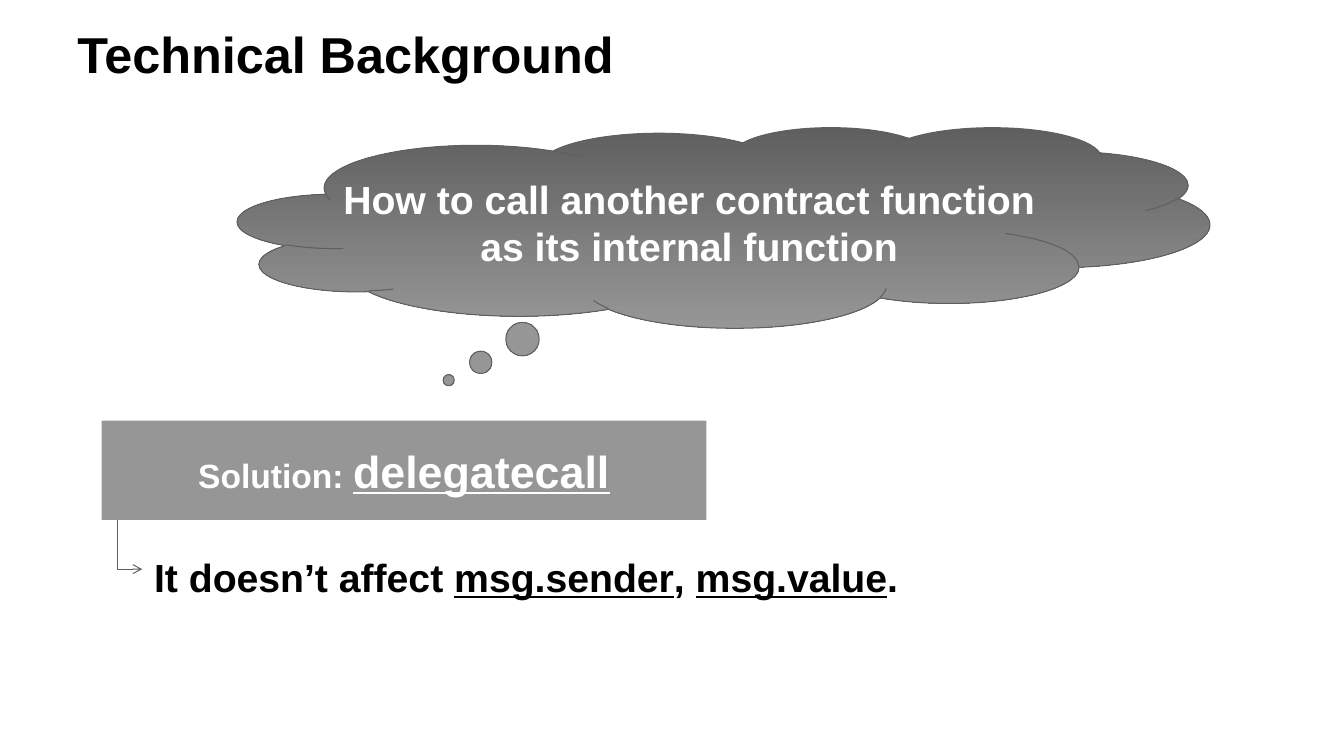
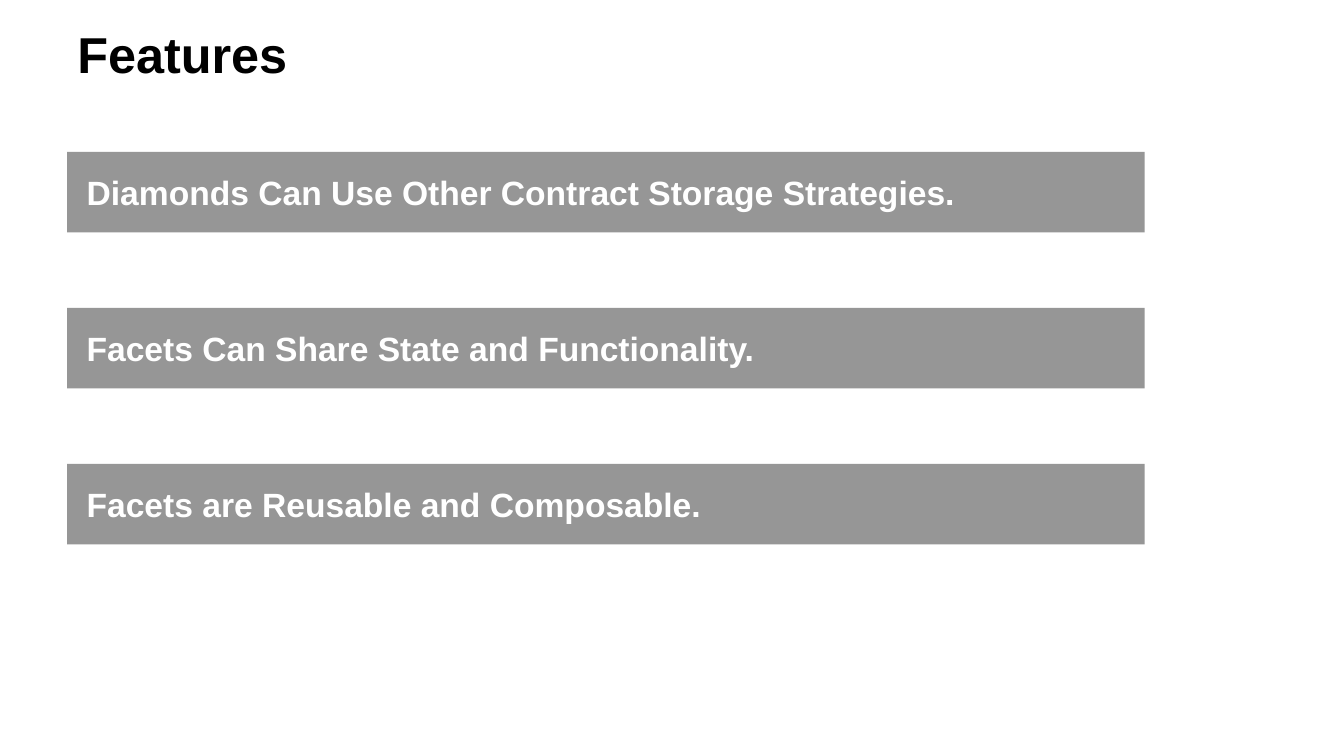
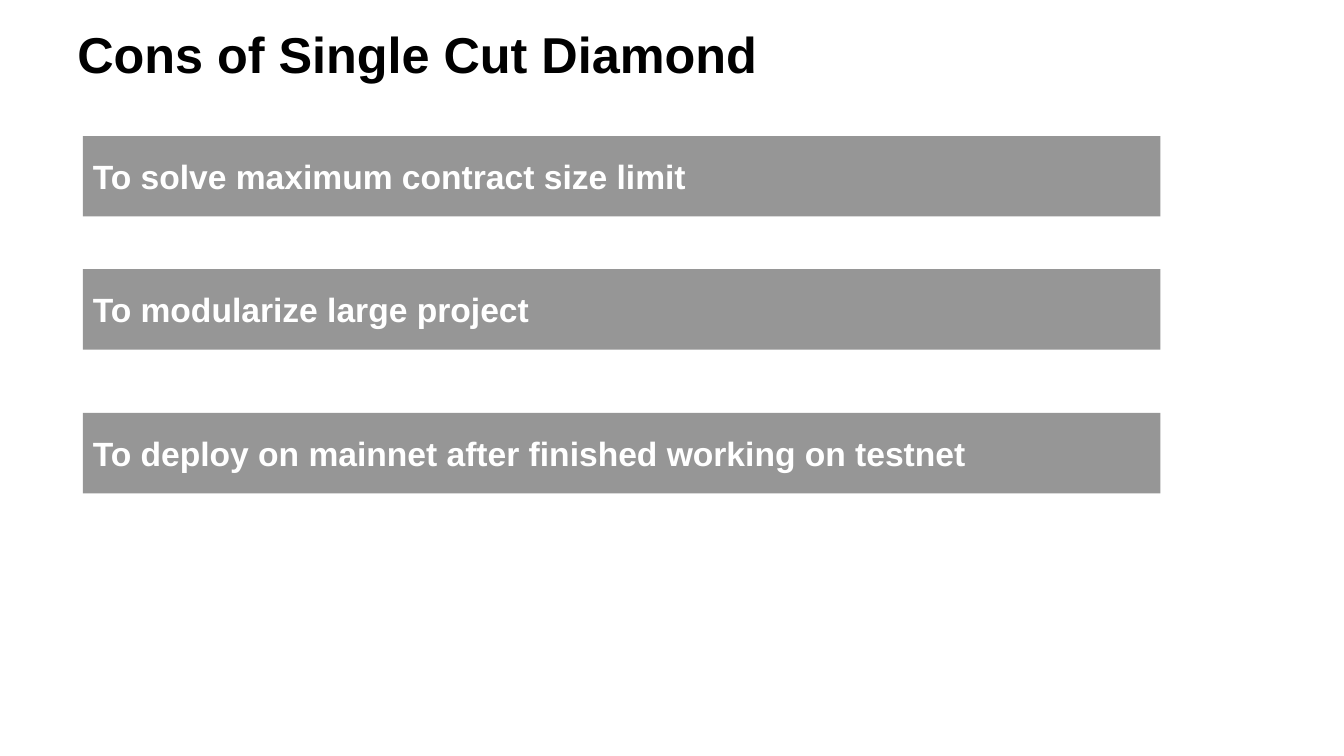
from lxml import etree
from pptx import Presentation
from pptx.dml.color import RGBColor
from pptx.enum.shapes import MSO_CONNECTOR, MSO_SHAPE
from pptx.enum.text import MSO_ANCHOR, MSO_AUTO_SIZE, PP_ALIGN
from pptx.oxml.ns import qn
from pptx.util import Pt

ELBOW = MSO_CONNECTOR.ELBOW
CLOUD = MSO_SHAPE.CLOUD_CALLOUT
RECTANGLE = MSO_SHAPE.RECTANGLE
MIDDLE = MSO_ANCHOR.MIDDLE
NO_AUTOFIT = MSO_AUTO_SIZE.NONE
LEFT, CENTER = PP_ALIGN.LEFT, PP_ALIGN.CENTER

FONT = "Arial"
COLORS = {"text": "000000", "light": "FFFFFF", "bar": "969696", "dark": "5F5F5F"}
TITLE_BOX = (48, 15, 864, 46)
BAR_WIDTH, BAR_HEIGHT = 769.7, 57.5
TITLE_ONLY = 5


def color(name):
    return RGBColor.from_string(COLORS[name])


def points(box):
    return [Pt(value) for value in box]


def write(shape, paragraphs, size=24, fill="light", align=LEFT, wrap=True,
          inset=7.2, spacing=None):
    """Fill a shape with paragraphs, each a list of (text, run format) pairs."""
    frame = shape.text_frame
    frame.auto_size = NO_AUTOFIT
    frame.word_wrap = wrap
    frame.vertical_anchor = MIDDLE
    frame.margin_left = Pt(inset)
    for index, runs in enumerate(paragraphs):
        paragraph = frame.add_paragraph() if index else frame.paragraphs[0]
        paragraph.alignment = align
        if spacing:
            paragraph.line_spacing = spacing
        for text, style in runs:
            run = paragraph.add_run()
            run.text = text
            font = run.font
            font.name, font.bold = FONT, True
            font.size = Pt(style.get("size", size))
            font.color.rgb = color(fill)
            if style.get("underline"):
                font.underline = True


def add_titled_slide(presentation, title):
    slide = presentation.slides.add_slide(presentation.slide_layouts[TITLE_ONLY])
    shape = slide.shapes.title
    shape.left, shape.top, shape.width, shape.height = points(TITLE_BOX)
    write(shape, [[(title, {})]], size=36, fill="text")
    return slide


def add_bar(slide, box, runs, **text_format):
    bar = slide.shapes.add_shape(RECTANGLE, *points(box))
    bar.shadow.inherit = False
    bar.fill.solid()
    bar.fill.fore_color.rgb = color("bar")
    bar.line.fill.background()
    write(bar, [runs], **text_format)


def add_thought_cloud(slide, box, lines):
    cloud = slide.shapes.add_shape(CLOUD, *points(box))
    cloud.adjustments[0], cloud.adjustments[1] = -0.283, 0.762
    cloud.shadow.inherit = False
    cloud.fill.gradient()
    cloud.fill.gradient_angle = 270
    for stop, name in zip(cloud.fill.gradient_stops, ("dark", "bar")):
        stop.color.rgb = color(name)
    cloud.line.color.rgb = color("dark")
    cloud.line.width = Pt(0.75)
    write(cloud, [[(line, {})] for line in lines], size=28, align=CENTER, wrap=False)


def add_down_right_arrow(slide, box):
    """Draw a one-bend arrow from the top left to the bottom right of the box."""
    left, top, width, height = box
    center_x, center_y = left + width / 2, top + height / 2
    # The preset bends right then down, so it is laid flat and turned 90 degrees.
    ends = (center_x - height / 2, center_y + width / 2,
            center_x + height / 2, center_y - width / 2)
    arrow = slide.shapes.add_connector(ELBOW, *points(ends))
    arrow.line.color.rgb = color("dark")
    arrow.line.width = Pt(0.75)
    properties = arrow.element.spPr
    properties.find(qn("a:xfrm")).set("rot", str(90 * 60000))
    properties.find(qn("a:prstGeom")).set("prst", "bentConnector2")
    etree.SubElement(properties.find(qn("a:ln")), qn("a:tailEnd"), type="arrow")
    etree.SubElement(properties, qn("a:effectLst"))


def add_note(slide, box, runs):
    note = slide.shapes.add_textbox(*points(box))
    write(note, [runs], size=28, fill="text", spacing=1.5)


def add_bar_list(slide, left, rows, inset=7.2):
    """Stack equal bars; rows are (top, text) pairs."""
    for top, text in rows:
        add_bar(slide, (left, top, BAR_WIDTH, BAR_HEIGHT), [(text, {})], inset=inset)


def build_background(presentation):
    slide = add_titled_slide(presentation, "Technical Background")
    add_thought_cloud(slide, (169.9, 90.7, 694.1, 143.3),
                      ["How to call another contract function",
                       "as its internal function"])
    add_bar(slide, (72.6, 300.4, 432, 71),
            [("Solution: ", {}), ("delegatecall", {"size": 32, "underline": True})],
            align=CENTER)
    add_note(slide, (103, 378, 585.4, 51.8),
             [("It doesn’t affect ", {}), ("msg.sender", {"underline": True}),
              (", ", {}), ("msg.value", {"underline": True}), (".", {})])
    add_down_right_arrow(slide, (83.8, 371.5, 17.8, 35))


def build_features(presentation):
    slide = add_titled_slide(presentation, "Features")
    features = ["Diamonds Can Use Other Contract Storage Strategies.",
                "Facets Can Share State and Functionality.",
                "Facets are Reusable and Composable."]
    rows = [(108.6 + 111.4 * index, text) for index, text in enumerate(features)]
    add_bar_list(slide, 48, rows, inset=13.9)


def build_cons(presentation):
    slide = add_titled_slide(presentation, "Cons of Single Cut Diamond")
    add_bar_list(slide, 59.2, [
        (97.2, "To solve maximum contract size limit"),
        (192.3, "To modularize large project"),
        (295, "To deploy on mainnet after finished working on testnet"),
    ])


def main():
    presentation = Presentation()
    presentation.slide_width, presentation.slide_height = Pt(960), Pt(540)
    build_background(presentation)
    build_features(presentation)
    build_cons(presentation)
    presentation.save("out.pptx")


if __name__ == "__main__":
    main()
